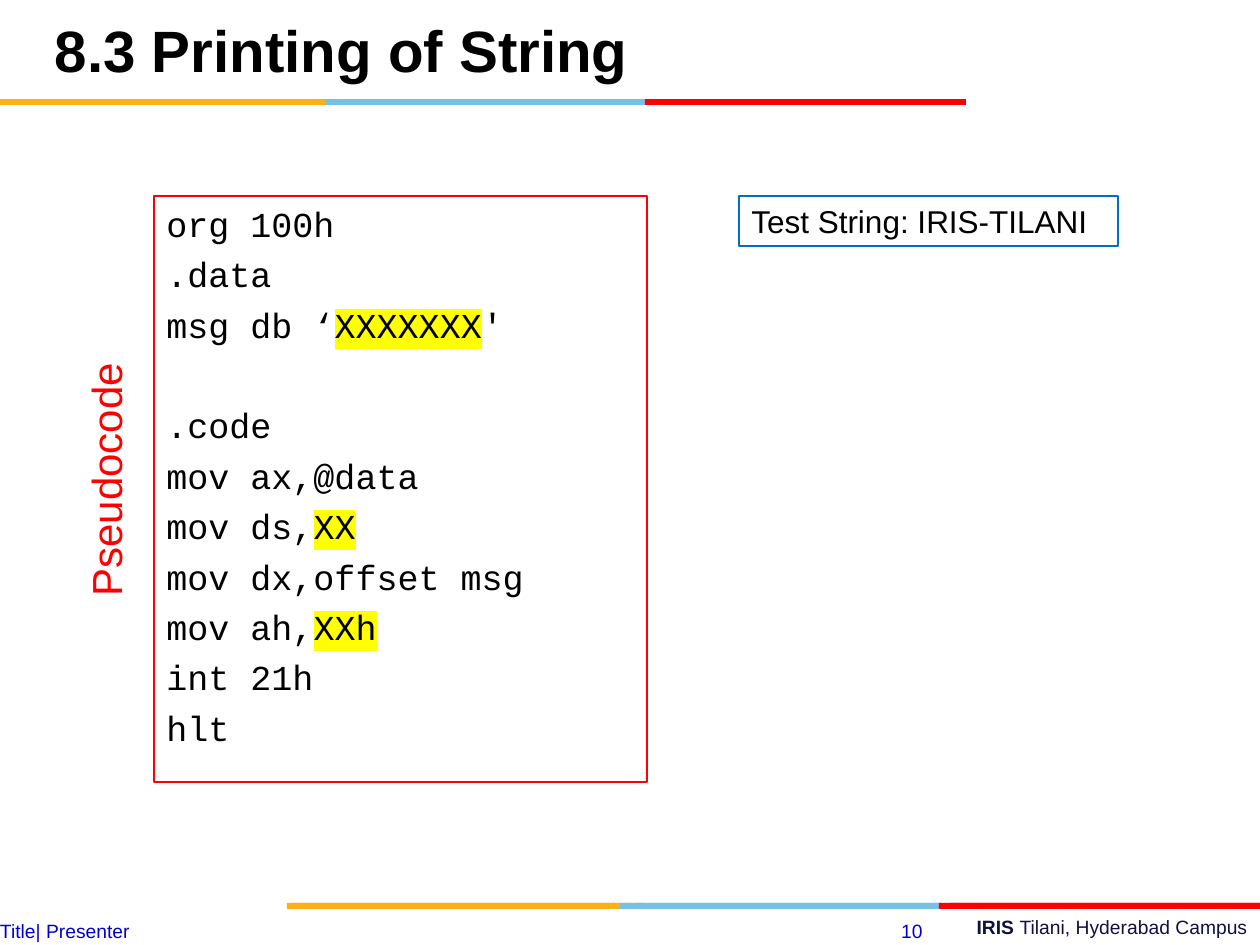
import pptx
import pptx.util
import pptx.dml.color
import pptx.enum.shapes
import pptx.enum.text
import pptx.oxml

PX = 914400 / 126
ALIGN = pptx.enum.text.PP_ALIGN
ANCHOR = pptx.enum.text.MSO_ANCHOR
RECT = pptx.enum.shapes.MSO_SHAPE.RECTANGLE
HIGHLIGHT = ('<a:highlight xmlns:a="http://schemas.openxmlformats.org/drawingml/2006/main">'
             '<a:srgbClr val="FFFF00"/></a:highlight>')


def rgb(value):
    return pptx.dml.color.RGBColor.from_string(value)


def write(p, text, color, **font):
    """Add a run to the paragraph, with its colour and font values."""
    r = p.add_run()
    r.text = text
    r.font.color.rgb = rgb(color)
    for name, value in font.items():
        setattr(r.font, name, pptx.util.Pt(value) if name == "size" else value)
    return r


prs = pptx.Presentation()
prs.slide_width, prs.slide_height = int(1260 * PX), int(945 * PX)
s = prs.slides.add_slide(prs.slide_layouts[5])

# Three-colour bars: left, top, width, colour
bars = [
    (638, 903, 321, "76C2E5"), (951, 903, 309, "E31C24"), (287, 903, 355, "FCB017"),
    (620, 903, 321, "76C2E5"), (294, 903, 325, "FCB017"), (939, 903, 321, "FF0000"),
    (325, 99, 321, "76C2E5"), (0, 99, 325, "FCB017"), (645, 99, 321, "FF0000"),
]
for x, y, w, color in bars:
    sp = s.shapes.add_shape(RECT, *(int(v * PX) for v in (x, y, w, 6)))
    sp.shadow.inherit = False
    sp.fill.solid()
    sp.fill.fore_color.rgb = rgb(color)
    sp.line.fill.background()

# Title
title = s.shapes.title
title.left, title.top, title.width, title.height = (int(v * PX) for v in (42, 22, 872, 68))
tf = title.text_frame
tf.word_wrap = True
tf.auto_size = pptx.enum.text.MSO_AUTO_SIZE.NONE
tf.vertical_anchor = ANCHOR.MIDDLE
p = tf.paragraphs[0]
p.alignment = ALIGN.LEFT
p.line_spacing = 0.8
write(p, "8.3 Printing of String", "000000", size=33.3, name="Arial", bold=True)

# Labels: box, rotation, outline, inset, alignment, size, colour, (text, bold) runs
labels = [
    ((451, 909, 809, 36), 0, None, True, ALIGN.RIGHT, 11, "101141",
     [("IRIS ", True), ("Tilani, Hyderabad Campus", False)]),
    ((840, 913, 95, 35), 0, None, True, ALIGN.RIGHT, 11, "0000CC", [("10", False)]),
    ((0, 919, 882, 24), 0, None, False, ALIGN.LEFT, 11, "0000CC",
     [("Title| Presenter", False)]),
    ((-31, 441, 273, 63), 270, None, True, ALIGN.LEFT, 24, "FF0000",
     [("Pseudocode", False)]),
    ((739, 196, 379, 50), 0, "0070C0", True, ALIGN.LEFT, 18, "000000",
     [("Test String: IRIS-TILANI", False)]),
]
for box, rotation, outline, inset, align, size, color, runs in labels:
    sp = s.shapes.add_textbox(*(int(v * PX) for v in box))
    sp.rotation = rotation
    if outline:
        sp.line.color.rgb = rgb(outline)
        sp.line.width = pptx.util.Pt(0.75)
    tf = sp.text_frame
    tf.word_wrap = outline is None
    if not inset:
        for side in ("left", "top", "right", "bottom"):
            setattr(tf, f"margin_{side}", 0)
    p = tf.paragraphs[0]
    p.alignment = align
    for text, bold in runs:
        write(p, text, color, size=size, name="Arial", bold=bold)

# Pseudocode: each line alternates plain and highlighted parts
code = [
    ["org 100h"], [".data"], ["msg db ‘", "XXXXXXX", "'"],
    [".code"], ["mov ax,@data"], ["mov ds,", "XX"], ["mov dx,offset msg"],
    ["mov ah,", "XXh"], ["int 21h"], ["hlt"],
]
LINE_GAP, SECTION_GAP = 4.8, 33.6
sp = s.shapes.add_textbox(*(int(v * PX) for v in (154, 196, 493, 586)))
sp.line.color.rgb = rgb("FF0000")
sp.line.width = pptx.util.Pt(0.75)
tf = sp.text_frame
tf.word_wrap = True
for i, parts in enumerate(code):
    p = tf.add_paragraph() if i else tf.paragraphs[0]
    p.space_before = pptx.util.Pt(SECTION_GAP if parts == [".code"] else LINE_GAP)
    for j, text in enumerate(parts):
        r = write(p, text, "000000", size=20, name="Courier New")
        if j == 1:
            fill = r.font._element.find(pptx.oxml.ns.qn("a:solidFill"))
            fill.addnext(pptx.oxml.parse_xml(HIGHLIGHT))

prs.save("out.pptx")
